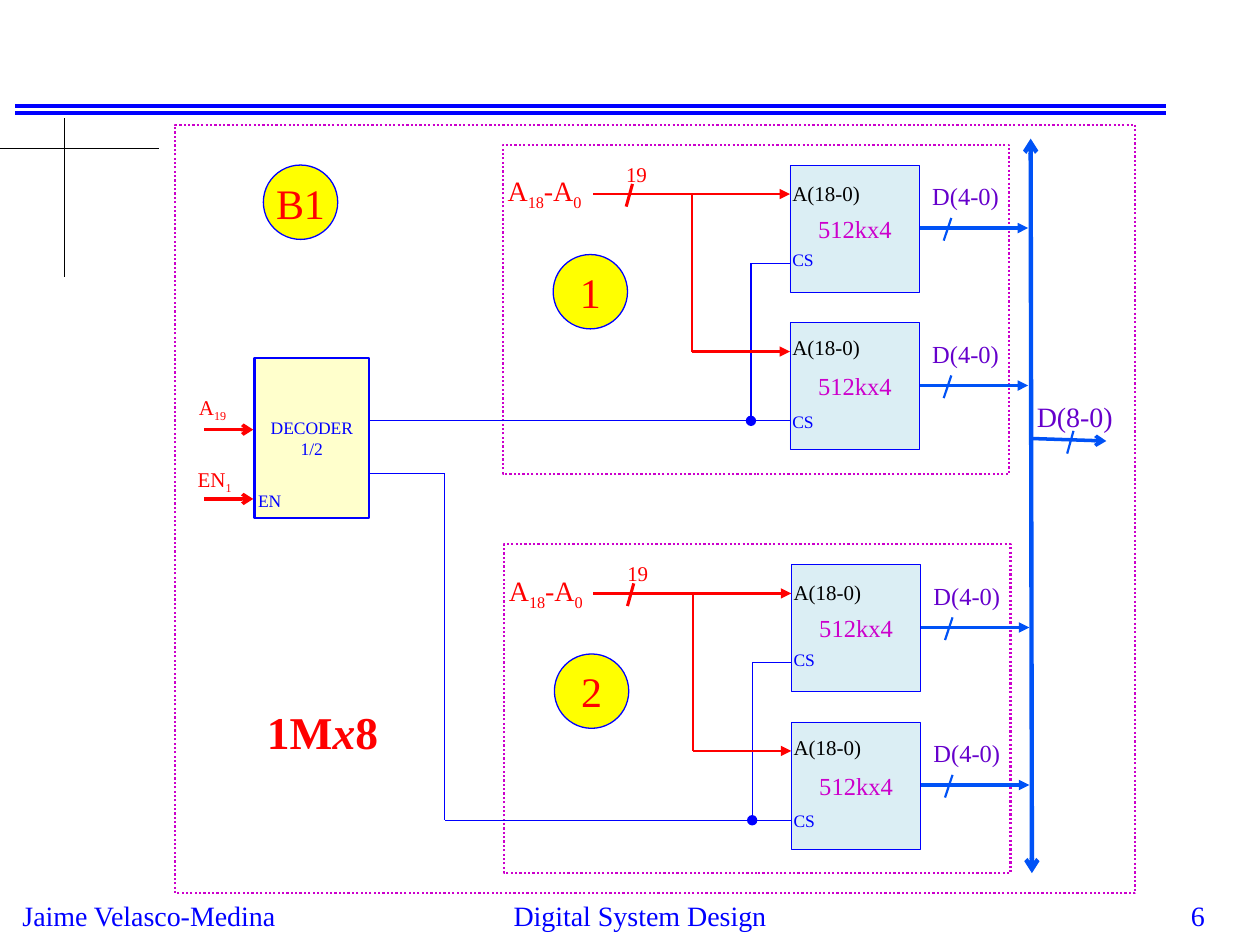
"""Builds the 1Mx8 memory bank slide."""
from lxml.etree import SubElement
from pptx import Presentation
from pptx.dml.color import RGBColor
from pptx.enum.dml import MSO_LINE
from pptx.enum.shapes import MSO_CONNECTOR, MSO_SHAPE
from pptx.enum.text import MSO_ANCHOR, PP_ALIGN
from pptx.oxml.ns import qn
from pptx.util import Inches, Pt

BLUE, RED, BUS, PINK, VIOLET = "0000FF", "FF0000", "0052F6", "CC00CC", "6600CC"
BLACK, YELLOW, CREAM, PALE = "000000", "FFFF00", "FFFFCC", "DBEEF4"
RECT, OVAL = MSO_SHAPE.RECTANGLE, MSO_SHAPE.OVAL
LEFT, MID, RIGHT = PP_ALIGN.LEFT, PP_ALIGN.CENTER, PP_ALIGN.RIGHT

deck = Presentation()
deck.slide_width, deck.slide_height = Inches(10), Inches(7.5)
slide = deck.slides.add_slide(deck.slide_layouts[6])
shapes = slide.shapes


def wire(x1, y1, x2, y2, color, width, head=None, tail=None):
    line = shapes.add_connector(MSO_CONNECTOR.STRAIGHT, *map(Inches, (x1, y1, x2, y2)))
    line.line.color.rgb = RGBColor.from_string(color)
    line.line.width = Pt(width)
    ln = line.line._get_or_add_ln()
    for tag, kind in (("a:headEnd", head), ("a:tailEnd", tail)):
        if kind:
            SubElement(ln, qn(tag)).set("type", kind)
    SubElement(line._element.spPr, qn("a:effectLst"))


def block(x, y, w, h, text="", size=12, color=BLUE, align=LEFT,
          kind=None, fill=None, edge=BLUE, width=0.75, wrap=True):
    area = map(Inches, (x, y, w, h))
    if kind is None:
        item = shapes.add_textbox(*area)
    else:
        item = shapes.add_shape(kind, *area)
        item.shadow.inherit = False
        item.line.color.rgb = RGBColor.from_string(edge)
        item.line.width = Pt(width)
        if fill:
            item.fill.solid()
            item.fill.fore_color.rgb = RGBColor.from_string(fill)
        else:
            item.fill.background()
            item.line.dash_style = MSO_LINE.ROUND_DOT
    if text:
        frame = item.text_frame
        frame.word_wrap = wrap
        frame.vertical_anchor = MSO_ANCHOR.MIDDLE if kind else MSO_ANCHOR.TOP
        para = frame.paragraphs[0]
        para.alignment = align
        para.font.name, para.font.size = "Times New Roman", Pt(size)
        para.font.color.rgb = RGBColor.from_string(color)
        for i, part in enumerate(text.split("_")):
            if part:
                run = para.add_run()
                run.text = part
                if i % 2:
                    run.font._element.set("baseline", "-25000")
    return item


for y in (0.84, 0.9):
    wire(0.12, y, 9.25, y, BLUE, 2.25)
wire(0, 1.18, 1.26, 1.18, BLACK, 0.75)
wire(0.51, 0.94, 0.51, 2.2, BLACK, 0.75)
block(0.08, 7.08, 2.25, 0.37, "Jaime Velasco-Medina", 16, wrap=False)
block(3.33, 7.08, 3.5, 0.33, "Digital System Design", 16, align=MID)
block(7.58, 7.08, 2.08, 0.25, "6", 16, align=RIGHT)

block(1.39, 0.99, 7.62, 6.1, kind=RECT, edge=PINK, width=1.25)

for bank, dx, dy in (("1", 0, 0), ("2", 0.01, 3.17)):
    block(3.99 + dx, 1.15 + dy, 4.02, 2.61, kind=RECT, edge=PINK, width=1.25)
    for row, drop in enumerate((dy, dy + 1.25)):
        block(6.27 + dx, 1.31 + drop, 1.03, 1.01, "512kx4", 14, PINK, MID,
              RECT, PALE, width=0.5)
        block(6.19 + dx, 1.38 + drop - row * 0.02, 0.78, 0.3, "A(18-0)", 12, BLACK)
        block(6.19 + dx, 1.93 + drop + row * 0.03, 0.43, 0.27, "CS", 10)
        block(7.3 + dx, 1.39 + drop, 0.78, 0.33, "D(4-0)", 14, VIOLET)
        wire(7.3 + dx, 1.81 + drop, 8.16 + dx, 1.81 + drop, BUS, 2, tail="triangle")
        wire(7.49 + dx, 1.91 + drop, 7.55 + dx, 1.73 + drop, BUS, 1.25)
        wire(5.96 + dx, 2.09 + drop, 6.27 + dx, 2.09 + drop, BLUE, 0.75)
    wire(5.96 + dx, 2.09 + dy, 5.96 + dx, 3.34 + dy, BLUE, 0.75)
    wire(4.71, 1.54 + dy, 6.27 + dx, 1.54 + dy, RED, 1.25, tail="triangle")
    wire(5.49 + dx, 1.54 + dy, 5.49 + dx, 2.79 + dy, RED, 1.25)
    wire(5.49 + dx, 2.79 + dy, 6.27 + dx, 2.79 + dy, RED, 1.25, tail="triangle")
    wire(4.97 + dx, 1.64 + dy, 5.02 + dx, 1.46 + dy, RED, 1.75)
    block(3.93 + dx, 1.33 + dy, 0.99, 0.37, "A_18_-A_0_", 16, RED)
    block(4.87 + dx, 1.23 + dy, 0.39, 0.5, "19", 12, RED)
    block(4.39 + dx, 2.02 + dy, 0.59, 0.59, bank, 24, RED, MID, OVAL, YELLOW, wrap=False)

wire(8.18, 1.1, 8.19, 6.93, BUS, 2.5, "arrow", "arrow")
wire(8.18, 3.48, 8.78, 3.5, BUS, 2, tail="arrow")
wire(8.47, 3.6, 8.52, 3.42, BUS, 1.25)
block(8.13, 3.12, 0.89, 0.37, "D(8-0)", 16, VIOLET)

wire(5.96, 3.34, 2.94, 3.34, BLUE, 0.75, head="oval")
wire(2.93, 3.76, 3.53, 3.76, BLUE, 0.75)
wire(3.53, 3.76, 3.53, 6.51, BLUE, 0.75)
wire(5.97, 6.51, 3.53, 6.51, BLUE, 0.75, head="oval")

block(2.02, 2.84, 0.91, 1.27, "DECODER 1/2", 10, BLUE, MID, RECT, CREAM, width=1.25)
block(1.95, 3.84, 0.43, 0.27, "EN", 10)
for pin, x, y, level in (("A_19_", 1.48, 3.08, 3.41), ("EN_1_", 1.47, 3.65, 3.96)):
    wire(1.62, level, 2.01, level, RED, 2, tail="arrow")
    block(x, y, 0.52, 0.3, pin, 12, RED)

block(2.09, 1.31, 0.59, 0.59, "B1", 24, RED, MID, OVAL, YELLOW, wrap=False)
title = block(2.02, 5.54, 1.16, 0.54, "1M", 26, RED).text_frame.paragraphs[0]
title.font.bold = True
for text, slant in (("x", True), ("8", False)):
    run = title.add_run()
    run.text, run.font.italic = text, slant

deck.save("out.pptx")
